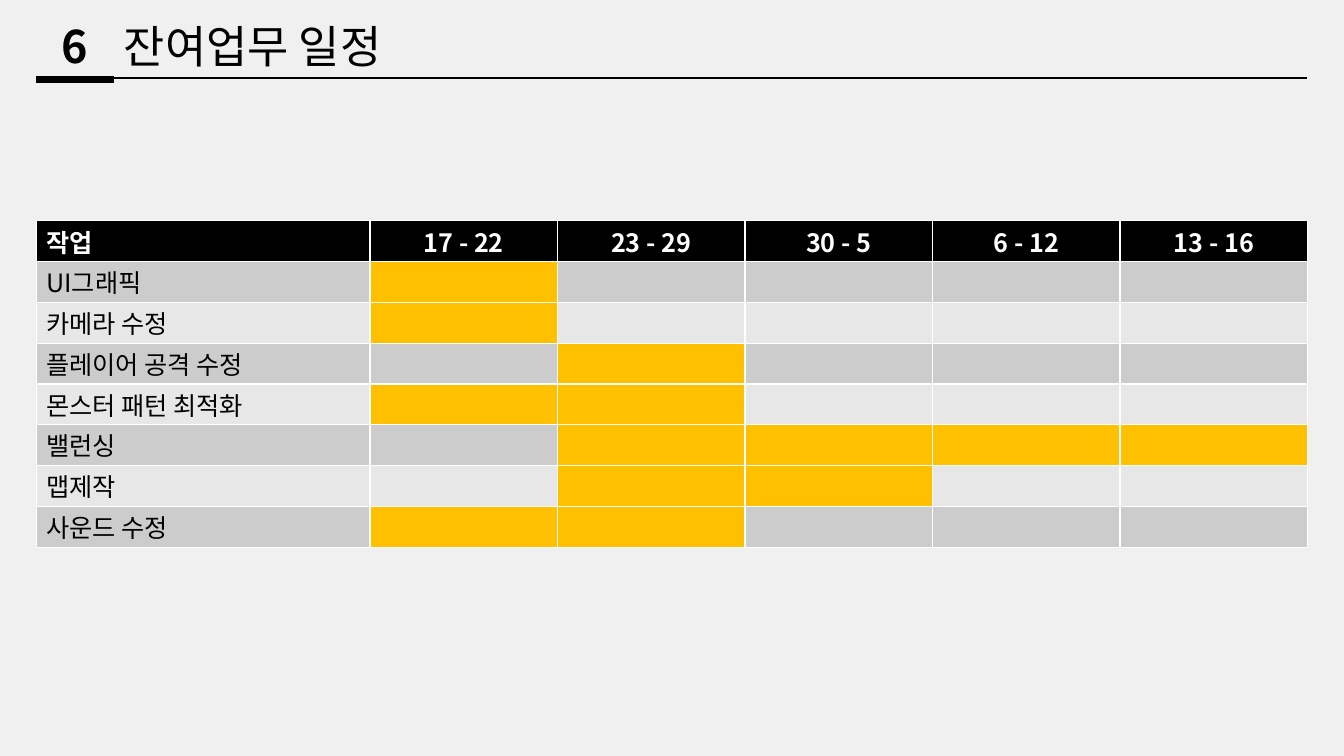
"""Build the slide with the schedule of remaining work."""
from lxml import etree
from pptx import Presentation
from pptx.dml.color import RGBColor
from pptx.enum.shapes import MSO_CONNECTOR
from pptx.enum.text import MSO_ANCHOR, PP_ALIGN
from pptx.oxml.ns import qn
from pptx.util import Inches, Pt

LEFT, MID = PP_ALIGN.LEFT, PP_ALIGN.CENTER
CENTER = MSO_ANCHOR.MIDDLE
LINE = MSO_CONNECTOR.STRAIGHT
FONT = "Noto Sans CJK KR"
COLORS = {
    "back": "F0F0F0",
    "black": "000000",
    "white": "FFFFFF",
    "dark": "CCCCCC",
    "light": "E7E7E7",
    "busy": "FFC000",
}


def color(name):
    return RGBColor.from_string(COLORS[name])


def write(frame, text, size=18, tint="black", bold=False, align=LEFT):
    para = frame.paragraphs[0]
    para.alignment = align
    run = para.add_run()
    run.text = text
    font = run.font
    font.name, font.size, font.bold = FONT, Pt(size), bold
    font.color.rgb = color(tint)
    east = etree.Element(qn("a:ea"), typeface=FONT)
    run._r.rPr.find(qn("a:latin")).addnext(east)


deck = Presentation()
deck.slide_width, deck.slide_height = Inches(13.33), Inches(7.5)
slide = deck.slides.add_slide(deck.slide_layouts[6])
slide.background.fill.solid()
slide.background.fill.fore_color.rgb = color("back")

titles = [
    (0.36, 0.77, "6", True, MID),
    (1.13, 4.75, "잔여업무 일정", False, LEFT),
]
for left, width, text, bold, align in titles:
    box = slide.shapes.add_textbox(Inches(left), Inches(0.13), Inches(width), Inches(0.64))
    frame = box.text_frame
    frame.word_wrap = True
    frame.vertical_anchor = CENTER
    frame.margin_top = frame.margin_bottom = 0
    write(frame, text, size=32, bold=bold, align=align)

for end, top, weight in [(12.96, 0.77, 1.5), (1.13, 0.79, 4.5)]:
    rule = slide.shapes.add_connector(LINE, Inches(0.36), Inches(top), Inches(end), Inches(top))
    rule.line.color.rgb = color("black")
    rule.line.width = Pt(weight)
    etree.SubElement(rule._element.spPr, qn("a:effectLst"))

weeks = ["17 - 22", "23 - 29", "30 - 5", "6 - 12", "13 - 16"]
tasks = [
    ("UI그래픽", [1]),
    ("카메라 수정", [1]),
    ("플레이어 공격 수정", [2]),
    ("몬스터 패턴 최적화", [1, 2]),
    ("밸런싱", [2, 3, 4, 5]),
    ("맵제작", [2, 3]),
    ("사운드 수정", [1, 2]),
]
rows, cols = len(tasks) + 1, len(weeks) + 1
grid = slide.shapes.add_table(
    rows, cols, Inches(0.36), Inches(2.19), Inches(12.6), Inches(3.24)
).table
for col in range(cols):
    grid.columns[col].width = Inches(1.86 if col else 3.31)

for col, text in enumerate(["작업"] + weeks):
    cell = grid.cell(0, col)
    cell.fill.solid()
    cell.fill.fore_color.rgb = color("black")
    write(cell.text_frame, text, tint="white", bold=True, align=MID if col else LEFT)

for row, (task, busy) in enumerate(tasks, 1):
    band = "dark" if row % 2 else "light"
    write(grid.cell(row, 0).text_frame, task)
    for col in range(cols):
        cell = grid.cell(row, col)
        cell.fill.solid()
        cell.fill.fore_color.rgb = color("busy" if col in busy else band)

for cell in grid.iter_cells():
    cell.margin_top = cell.margin_bottom = Inches(0.02)

deck.save("out.pptx")
